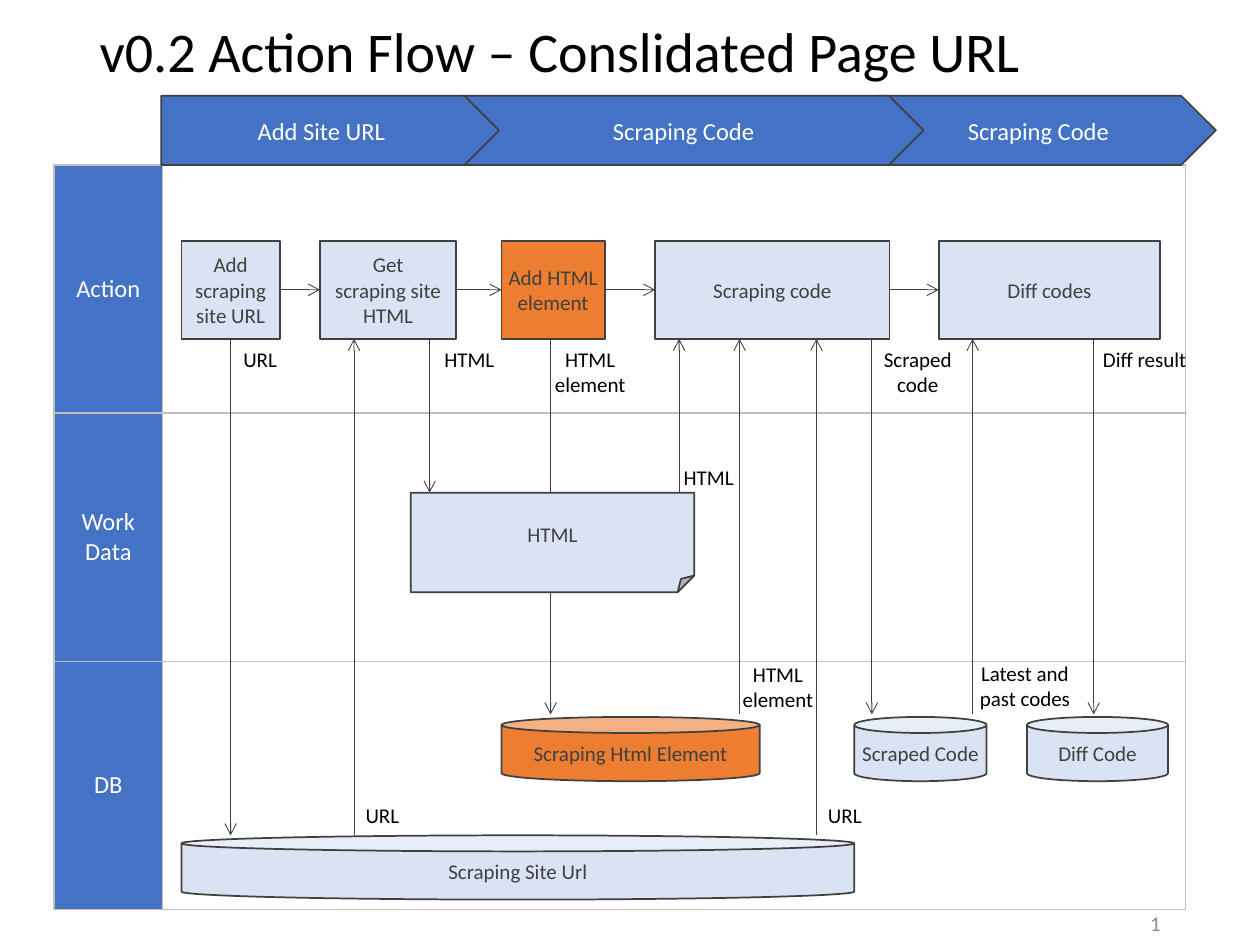
from lxml import etree
from pptx import Presentation
from pptx.dml.color import RGBColor
from pptx.enum.shapes import MSO_CONNECTOR, MSO_SHAPE
from pptx.enum.text import MSO_ANCHOR, PP_ALIGN
from pptx.oxml.ns import qn
from pptx.util import Pt

PX = 9144
RECT, CAN = MSO_SHAPE.RECTANGLE, MSO_SHAPE.CAN
NOTE, PHASE = MSO_SHAPE.FOLDED_CORNER, MSO_SHAPE.PENTAGON
STRAIGHT = MSO_CONNECTOR.STRAIGHT
MIDDLE = MSO_ANCHOR.MIDDLE
LEFT, CENTER, RIGHT = PP_ALIGN.LEFT, PP_ALIGN.CENTER, PP_ALIGN.RIGHT
BOTTOM_SIDE, LEFT_SIDE, RIGHT_SIDE = 2, 1, 3
BLUE, PALE, ORANGE = "4472C4", "DAE3F3", "ED7D31"
DARK, BORDER, GRAY, WHITE, BLACK = "404040", "BFBFBF", "8C8C8C", "FFFFFF", "000000"


def px(*values):
    """Turn px lengths into EMU."""
    return [v * PX for v in values]


def rgb(color):
    """Turn a hex string into a colour."""
    return RGBColor.from_string(color)


def write(tf, text, size, color, align=CENTER):
    """Fill a text frame, one paragraph per line of text."""
    tf.text = text
    for p in tf.paragraphs:
        p.alignment = align
        for name, value in {"size": Pt(size), "name": "Calibri"}.items():
            setattr(p.font, name, value)
        p.font.color.rgb = rgb(color)


def add_shape(s, kind, box, text, size, color):
    """Add a preset shape with centred, unwrapped text."""
    sp = s.shapes.add_shape(kind, *px(*box))
    sp.shadow.inherit = False
    tf = sp.text_frame
    write(tf, text, size, color)
    frame = {"word_wrap": False, "vertical_anchor": MIDDLE}
    frame.update({f"margin_{side}": 4 * PX for side in ("left", "right", "top", "bottom")})
    for name, value in frame.items():
        setattr(tf, name, value)
    return sp


def add_block(s, kind, box, text, fill=PALE, size=12, color=DARK):
    """Add a filled and outlined shape."""
    sp = add_shape(s, kind, box, text, size, color)
    sp.fill.solid()
    sp.fill.fore_color.rgb = rgb(fill)
    sp.line.color.rgb = rgb(DARK)
    sp.line.width = Pt(1)
    return sp


def add_arrow(s, x1, y1, x2, y2):
    """Add a thin connector with an open arrowhead at its end."""
    line = s.shapes.add_connector(STRAIGHT, *px(x1, y1, x2, y2))
    line.line.color.rgb = rgb(DARK)
    line.line.width = Pt(0.5)
    etree.SubElement(line.line._get_or_add_ln(), qn("a:tailEnd"), type="arrow")
    etree.SubElement(line._element.spPr, qn("a:effectLst"))
    return line


def add_title(s, box, text):
    """Place and format the title placeholder."""
    title = s.shapes.title
    for name, value in zip(("left", "top", "width", "height"), px(*box)):
        setattr(title, name, value)
    tf = title.text_frame
    write(tf, text, 32, BLACK, LEFT)
    tf.vertical_anchor = MIDDLE
    tf.paragraphs[0].line_spacing = 0.9


def set_borders(cell):
    """Draw all four borders of a cell."""
    props = cell._tc.get_or_add_tcPr()
    for i, side in enumerate(("lnL", "lnR", "lnT", "lnB")):
        ln = etree.Element(qn(f"a:{side}"), w=str(Pt(1)))
        fill = etree.SubElement(ln, qn("a:solidFill"))
        etree.SubElement(fill, qn("a:srgbClr"), val=BORDER)
        props.insert(i, ln)


def add_lanes(s, box, names, head_width):
    """Add the swimlane table with one named row per lane."""
    x, y, w, h = box
    table = s.shapes.add_table(len(names), 2, *px(x, y, w, h)).table
    table.first_row = table.horz_banding = False
    for column, width in zip(table.columns, px(head_width, w - head_width)):
        column.width = width
    for row, name in zip(table.rows, names):
        row.height = h * PX // len(names)
        head, lane = row.cells
        write(head.text_frame, name, 14, WHITE)
        head.vertical_anchor = MIDDLE
        head.fill.solid()
        head.fill.fore_color.rgb = rgb(BLUE)
        lane.fill.background()
        for cell in row.cells:
            set_borders(cell)


def add_phases(s, box, phases):
    """Add overlapping phase banners, the leftmost in front."""
    x, y, _, h = box
    for dx, w, text in reversed(phases):
        add_block(s, PHASE, (x + dx, y, w, h), text, BLUE, 14, WHITE)


def add_steps(s, box, steps):
    """Add a row of action boxes joined by arrows."""
    x, y, _, h = box
    blocks = [add_block(s, RECT, (x + dx, y, w, h), text, fill)
              for dx, w, text, fill in steps]
    for a, b in zip(blocks, blocks[1:]):
        line = add_arrow(s, x, y, x, y)
        line.begin_connect(a, RIGHT_SIDE)
        line.end_connect(b, LEFT_SIDE)
    return blocks


def add_flows(s, box, flows):
    """Add the vertical data arrows."""
    x, y, _, _ = box
    return [add_arrow(s, x + dx, y + y1, x + dx, y + y2) for dx, y1, y2 in flows]


def add_stores(s, box, stores):
    """Add the database cylinders."""
    x, y, _, _ = box
    for dx, dy, w, text, fill in stores:
        add_block(s, CAN, (x + dx, y + dy, w, 51), text, fill)


def add_labels(s, box, labels):
    """Add the names of the data on the arrows."""
    x, y, _, _ = box
    for dx, dy, text in labels:
        sp = add_shape(s, RECT, (x + dx, y + dy, 47, 24), text, 12, BLACK)
        sp.fill.background()
        sp.line.fill.background()


def add_page_number(s, box, text):
    """Add the page number at the bottom right."""
    tf = s.shapes.add_textbox(*px(*box)).text_frame
    tf.word_wrap = True
    tf.vertical_anchor = MIDDLE
    write(tf, text, 12, GRAY, RIGHT)


def main():
    """Build the slide and save it."""
    prs = Presentation()
    prs.slide_width, prs.slide_height = px(1000, 750)
    s = prs.slides.add_slide(prs.slide_layouts[5])
    add_title(s, (69, 13, 862, 60), "v0.2 Action Flow – Conslidated Page URL")
    add_lanes(s, (43, 131, 898, 591), ["Action", "Work\nData", "DB"], 86)
    add_phases(s, (128, 76, 837, 55), [
        (0, 268, "Add Site URL"), (238, 367, "Scraping Code"), (569, 268, "Scraping Code")])
    steps = add_steps(s, (128, 191, 812, 78), [
        (16, 78, "Add\nscraping\nsite URL", PALE),
        (126, 108, "Get\nscraping site\nHTML", PALE),
        (270, 82, "Add HTML\nelement", ORANGE),
        (392, 186, "Scraping code", PALE),
        (617, 176, "Diff codes", PALE)])
    flow_box = (128, 269, 812, 394)
    flows = add_flows(s, flow_box, [
        (55, 0, 394), (153, 394, 0), (213, 0, 122), (309, 0, 298), (411, 122, 0),
        (459, 298, 0), (520, 394, 0), (564, 0, 298), (644, 298, 0), (740, 0, 298)])
    flows[0].begin_connect(steps[0], BOTTOM_SIDE)
    add_block(s, NOTE, (326, 391, 225, 79), "HTML")
    add_stores(s, (128, 569, 812, 145), [
        (270, 0, 205, "Scraping Html Element", ORANGE),
        (550, 0, 105, "Scraped Code", PALE),
        (687, 0, 112, "Diff Code", PALE),
        (16, 94, 534, "Scraping Site Url", PALE)])
    add_labels(s, flow_box, [
        (55, 4, "URL"), (221, 4, "HTML"), (317, 14, "HTML\nelement"),
        (577, 14, "Scraped\ncode"), (757, 4, "Diff result"), (411, 98, "HTML"),
        (466, 264, "HTML\nelement"), (662, 263, "Latest and\npast codes"),
        (152, 366, "URL"), (519, 366, "URL")])
    add_page_number(s, (706, 721, 225, 24), "1")
    prs.save("out.pptx")


if __name__ == "__main__":
    main()
